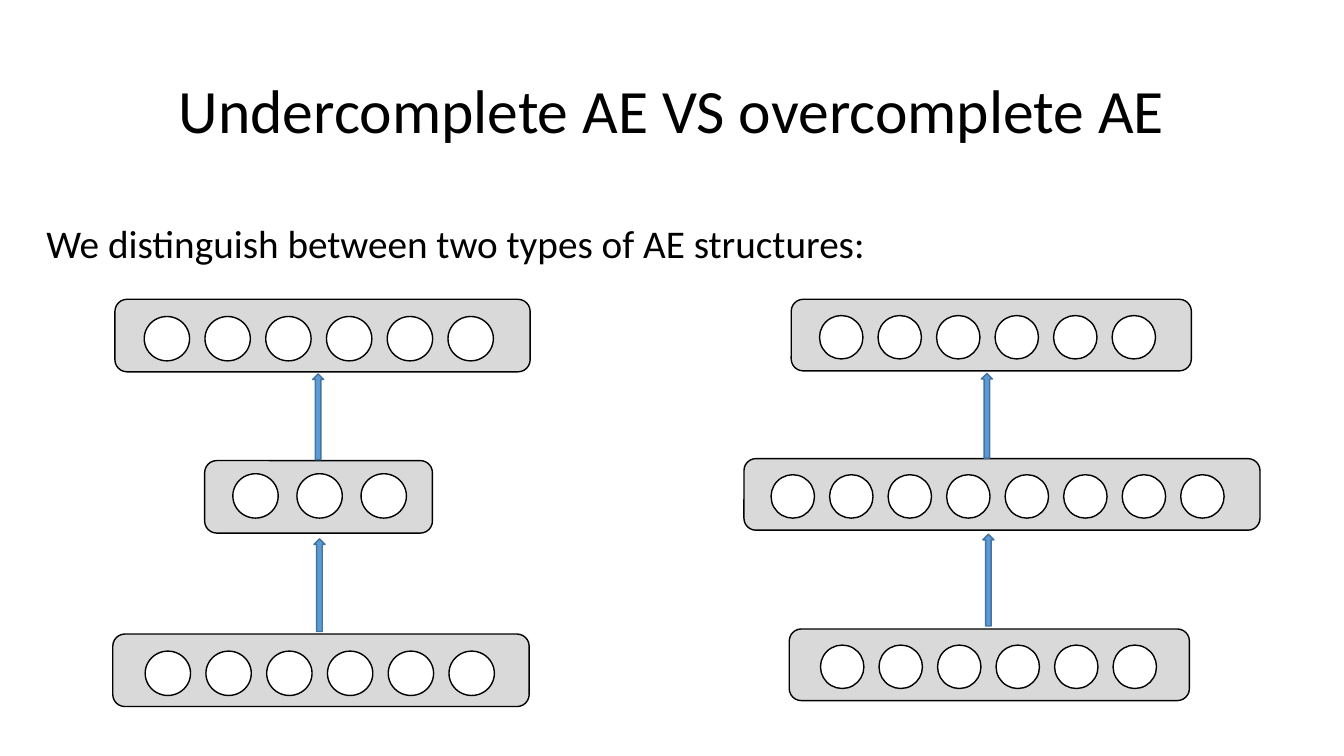
from pptx import Presentation
from pptx.dml.color import RGBColor
from pptx.enum.shapes import MSO_SHAPE
from pptx.enum.text import MSO_ANCHOR, MSO_AUTO_SIZE, PP_ALIGN
from pptx.util import Pt

COLORS = {
    "text": "000000",
    "layer": "D9D9D9",
    "unit": "FFFFFF",
    "outline": "000000",
    "arrow": "5B9BD5",
    "arrow_line": "43739E",
}
ARROW_THICKNESS = 7.9

# Layers: box (left, top, width, height), first unit (left, top), unit count, pitch
# Arrows: centre x, centre y, length
UNDERCOMPLETE = {
    "unit_size": (32.4, 31.7),
    "layers": [
        ((82.1, 213.8, 296.6, 51.8), (103, 226.1), 6, 43.4),
        ((80.6, 452.9, 297.4, 51.8), (103.7, 465.1), 6, 43.4),
        ((146.2, 329, 162.7, 51.8), (166.3, 338.4), 3, 45.8),
    ],
    "arrows": [(228.2, 418, 66.2), (227.2, 297.7, 61.2)],
}
OVERCOMPLETE = {
    "unit_size": (31, 31),
    "layers": [
        ((565.2, 213.8, 285.8, 51.1), (585.4, 225.4), 6, 41.8),
        ((563.8, 449.3, 285.8, 51.1), (586.1, 460.8), 6, 41.8),
        ((531.4, 327.6, 368.6, 51.1), (550.8, 339.1), 8, 41.8),
    ],
    "arrows": [(706, 414.4, 65.5), (704.9, 297, 60.5)],
}


def rgb(name):
    return RGBColor.from_string(COLORS[name])


def add_text(s, text, box, size, align=PP_ALIGN.LEFT, anchor=MSO_ANCHOR.TOP, spacing=1.0):
    tf = s.shapes.add_textbox(*map(Pt, box)).text_frame
    tf.word_wrap = True
    tf.vertical_anchor = anchor
    p = tf.paragraphs[0]
    p.text = text
    p.alignment = align
    p.line_spacing = spacing
    p.font.name = "Calibri"
    p.font.size = Pt(size)
    p.font.color.rgb = rgb("text")
    return tf


def add_outlined(group, kind, box, fill, line="outline"):
    sp = group.shapes.add_shape(kind, *map(Pt, box))
    sp.shadow.inherit = False
    sp.fill.solid()
    sp.fill.fore_color.rgb = rgb(fill)
    sp.line.color.rgb = rgb(line)
    sp.line.width = Pt(1)
    return sp


def add_layer(group, box, first_unit, count, pitch, unit_size):
    add_outlined(group, MSO_SHAPE.ROUNDED_RECTANGLE, box, "layer")
    left, top = first_unit
    for i in range(count):
        add_outlined(group, MSO_SHAPE.OVAL, (left + i * pitch, top, *unit_size), "unit")


def add_up_arrow(group, cx, cy, length):
    box = (cx - length / 2, cy - ARROW_THICKNESS / 2, length, ARROW_THICKNESS)
    sp = add_outlined(group, MSO_SHAPE.RIGHT_ARROW, box, "arrow", "arrow_line")
    sp.rotation = 270


def add_autoencoder(s, network):
    group = s.shapes.add_group_shape()
    for layer in network["layers"]:
        add_layer(group, *layer, network["unit_size"])
    for arrow in network["arrows"]:
        add_up_arrow(group, *arrow)


def main():
    prs = Presentation()
    prs.slide_width, prs.slide_height = Pt(960), Pt(540)
    s = prs.slides.add_slide(prs.slide_layouts[6])
    add_text(s, "Undercomplete AE VS overcomplete AE", (66, 28.8, 828, 104.4), 44,
             PP_ALIGN.CENTER, MSO_ANCHOR.MIDDLE, 0.9)
    add_autoencoder(s, UNDERCOMPLETE)
    add_autoencoder(s, OVERCOMPLETE)
    tf = add_text(s, "We distinguish between two types of AE structures:",
                  (26, 153.4, 602, 41), 28)
    tf.auto_size = MSO_AUTO_SIZE.SHAPE_TO_FIT_TEXT
    prs.save("out.pptx")


if __name__ == "__main__":
    main()
